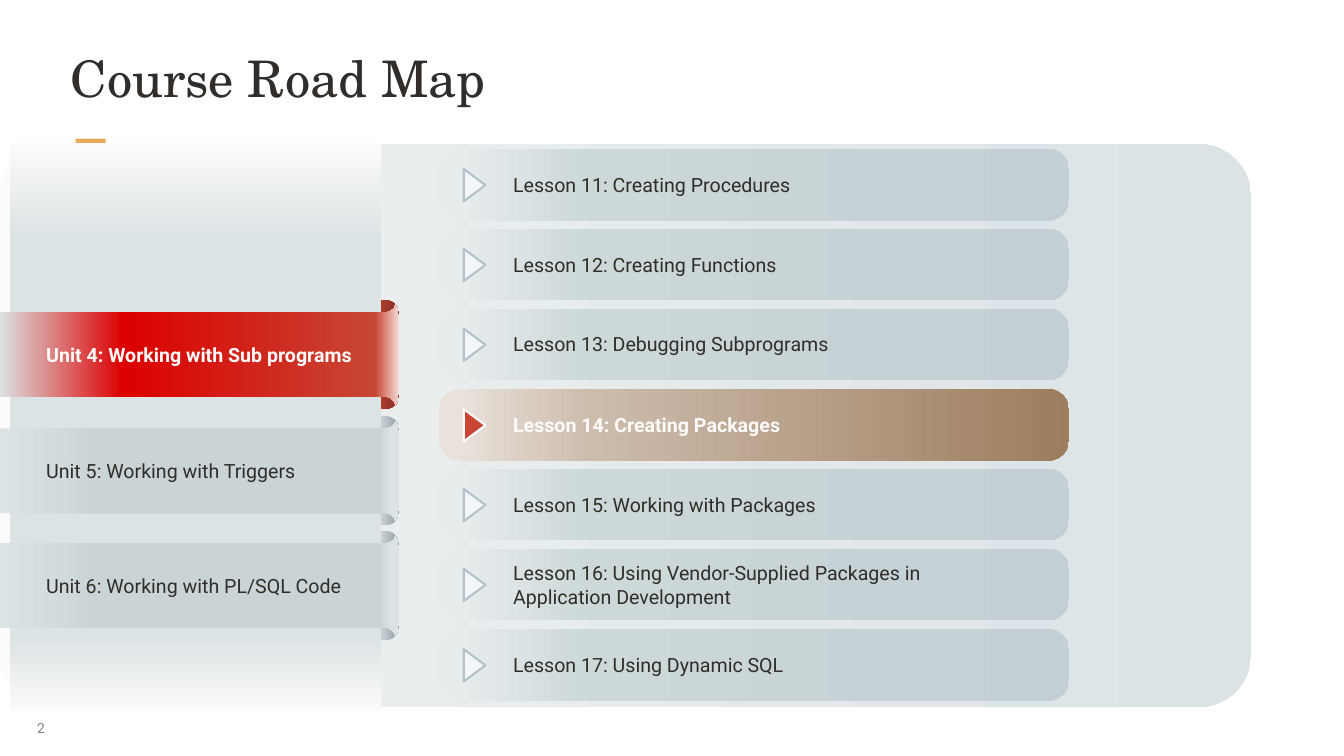
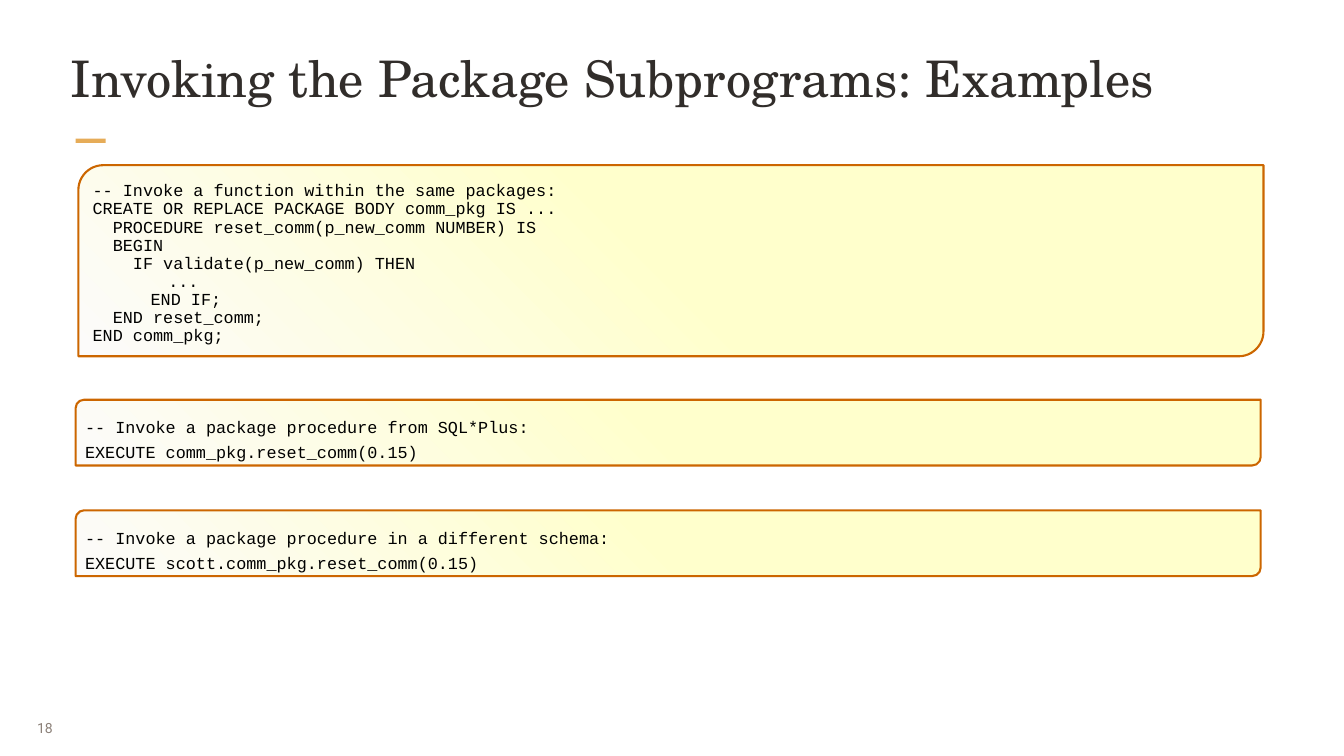
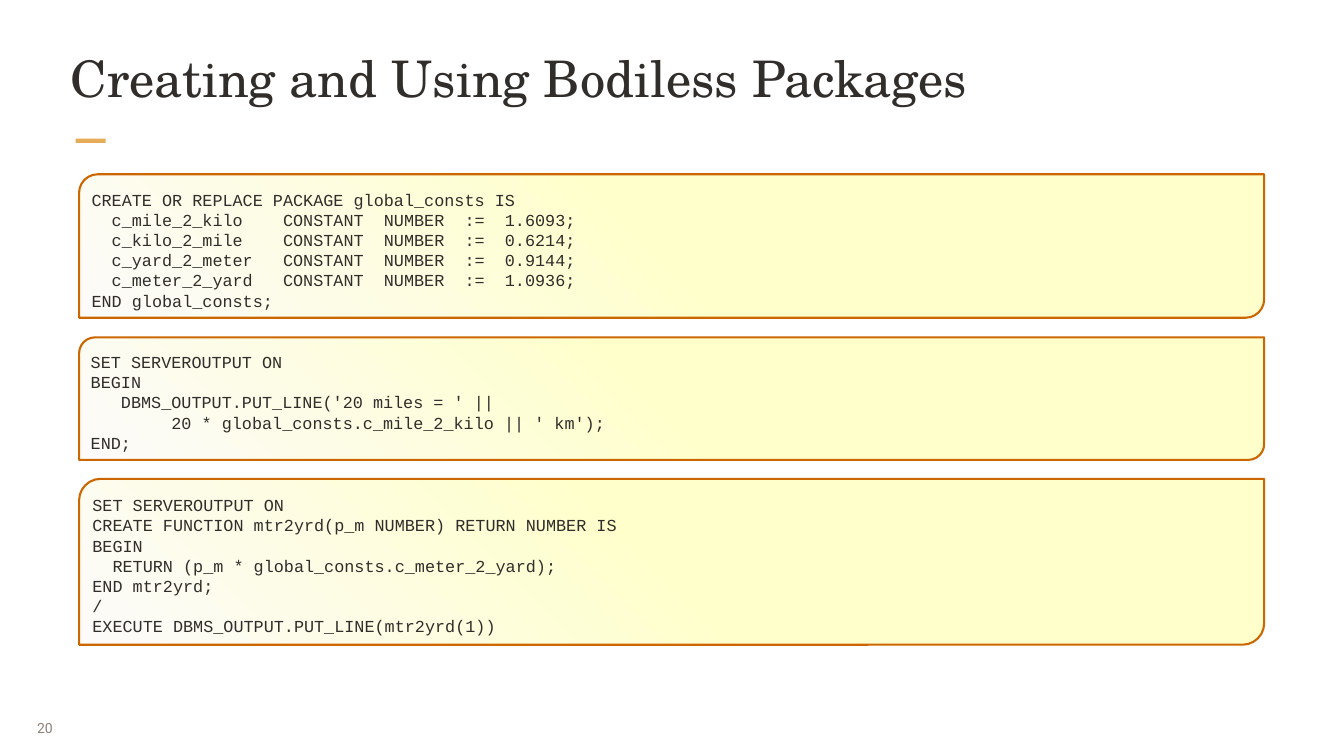
"""Builds three course slides: a road map and two pages of package code."""
from dataclasses import dataclass

from lxml.etree import SubElement
from pptx import Presentation
from pptx.dml.color import RGBColor
from pptx.enum.shapes import MSO_SHAPE as SHAPE
from pptx.enum.text import MSO_ANCHOR as ANCHOR
from pptx.oxml.ns import qn
from pptx.util import Pt

PX = 9525


@dataclass(frozen=True)
class Theme:
    ink: str = "312D2A"
    black: str = "000000"
    paper: str = "FCFBFA"
    muted: str = "8B8078"
    accent: str = "E6AC58"
    red: str = "C74634"
    code_line: str = "CC6600"
    arrow: str = "F3F5F6"
    arrow_line: str = "B4C3C9"
    panel: tuple = ((0, "FCFBFA"), (26, "EAEEEF"), (100, "DCE3E4"))
    band: tuple = ((0, "FCFBFA"), (17, "DCE3E4"), (87, "DCE3E4"), (100, "FCFBFA"))
    fold: tuple = ((77, "DEE4E5"), (99, "96A2A7"))
    fold_on: tuple = ((73, "C74634"), (92, "953427"))
    unit: tuple = ((0, "DCE3E4"), (25, "CAD4D7"), (95, "CAD4D7"), (98, "DCE3E4"))
    unit_on: tuple = ((0, "DCE3E4"), (31, "DC0000"), (94, "C74634"), (100, "F4DAD6"))
    lesson: tuple = ((3, "E7ECED"), (24, "CDD8D9"), (100, "C2CFD4"))
    lesson_on: tuple = ((3, "E9E2DB"), (24, "CDBCAC"), (100, "9D7D5E"))
    code: tuple = ((0, "FFFFCC"), (50, "FFFFCC"), (100, "FCFBFA"))
    title_font: tuple = ("TeX Gyre Schola", 54)
    label_font: tuple = ("Roboto", 21)
    number_font: tuple = ("Roboto", 15)
    code_font: tuple = ("Courier New", 18)


T = Theme()


def draw(s, kind, box, fill, line=None, angle=0, adj=None):
    x, y, w, h = (v * PX for v in box)
    if isinstance(kind, list):
        fb = s.shapes.build_freeform(*kind[0], scale=PX)
        fb.add_line_segments(kind[1:])
        sp = fb.convert_to_shape(x, y)
    else:
        sp = s.shapes.add_shape(kind, x, y, w, h)
    sp.shadow.inherit = False
    if adj is not None:
        sp.adjustments[0] = adj
    if isinstance(fill, str):
        sp.fill.solid()
        sp.fill.fore_color.rgb = RGBColor.from_string(fill)
    else:
        sp.fill.gradient()
        sp.fill.gradient_angle = (360 - angle) % 360
        stops = next(sp._element.iter(qn("a:gsLst")))
        stops.clear()
        for pos, color in fill:
            gs = SubElement(stops, qn("a:gs"), pos=str(pos * 1000))
            SubElement(gs, qn("a:srgbClr"), val=color)
    if line:
        sp.line.color.rgb = RGBColor.from_string(line)
        sp.line.width = Pt(2.25)
    else:
        sp.line.fill.background()
    return sp


def write(sp, text, font, color, bold=False, anchor=ANCHOR.MIDDLE,
          insets=(10, 5, 10, 5), spacing=None, tabs=()):
    tf = sp.text_frame
    tf.word_wrap = True
    tf.vertical_anchor = anchor
    tf.margin_left, tf.margin_top, tf.margin_right, tf.margin_bottom = (v * PX for v in insets)
    for i, words in enumerate(text.split("\n")):
        p = tf.paragraphs[0] if i == 0 else tf.add_paragraph()
        p.add_run().text = words
        p.alignment = 1
        if spacing:
            p.line_spacing = spacing
        if tabs:
            tab_list = SubElement(p._p.get_or_add_pPr(), qn("a:tabLst"))
            for pos in tabs:
                SubElement(tab_list, qn("a:tab"), pos=str(pos * PX), algn="l")
        p.font.name, p.font.size = font[0], Pt(font[1])
        p.font.bold = bold
        p.font.color.rgb = RGBColor.from_string(color)


prs = Presentation()
prs.slide_width, prs.slide_height = 1920 * PX, 1080 * PX

slides = []
for title, number in [
    ("Course Road Map", "2"),
    ("Invoking the Package Subprograms: Examples", "18"),
    ("Creating and Using Bodiless Packages", "20"),
]:
    s = prs.slides.add_slide(prs.slide_layouts[6])
    draw(s, SHAPE.RECTANGLE, (108, 198, 43, 6), T.accent)
    sp = s.shapes.add_textbox(41 * PX, 1012 * PX, 62 * PX, 56 * PX)
    write(sp, number, T.number_font, T.muted, insets=(12, 7, 12, 7))
    sp = s.shapes.add_textbox(98 * PX, 64 * PX, 1724 * PX, 123 * PX)
    write(sp, title, T.title_font, T.ink, anchor=ANCHOR.TOP, insets=(3, 3, 3, 3))
    slides.append(s)
road_map, invoking, bodiless = slides

units = [
    (435, "Unit 4: Working with Sub programs"),
    (601, "Unit 5: Working with Triggers"),
    (765, "Unit 6: Working with PL/SQL Code"),
]
lessons = [
    "Lesson 11: Creating Procedures",
    "Lesson 12: Creating Functions",
    "Lesson 13: Debugging Subprograms",
    "Lesson 14: Creating Packages",
    "Lesson 15: Working with Packages",
    "Lesson 16: Using Vendor-Supplied Packages in Application Development",
    "Lesson 17: Using Dynamic SQL",
]
ribbon = [
    (566, 0), (570, 8), (571, 18), (571, 125), (570, 135), (566, 144),
    (564, 139), (559, 134), (553, 132), (2, 132), (0, 125), (0, 18),
    (2, 11), (553, 11), (559, 9), (564, 5),
]

draw(road_map, SHAPE.ROUNDED_RECTANGLE, (-1, 206, 1788, 804), T.panel, adj=0.093)
for i, (y, _) in enumerate(units):
    draw(road_map, SHAPE.ROUNDED_RECTANGLE, (418, y - 6, 152, 155),
         T.fold if i else T.fold_on, adj=0.126)
draw(road_map, SHAPE.RECTANGLE, (14, 204, 530, 812), T.band, angle=90)
for i, (y, _) in enumerate(units):
    draw(road_map, ribbon, (-1, y, 571, 144), T.unit if i else T.unit_on)
for i, (y, label) in enumerate(units):
    sp = road_map.shapes.add_textbox(56 * PX, (y + 50) * PX, 489 * PX, 43 * PX)
    write(sp, label, T.label_font, T.ink if i else T.paper, bold=i == 0)

for i, label in enumerate(lessons):
    y = 213 + 686 * i // 6
    current = label.startswith("Lesson 14")
    draw(road_map, SHAPE.ROUNDED_RECTANGLE, (627, y, 900, 102),
         T.lesson_on if current else T.lesson, adj=0.289)
    h = 78 if len(label) > 50 else 43
    sp = road_map.shapes.add_textbox(723 * PX, (y + (102 - h) // 2) * PX, 708 * PX, h * PX)
    write(sp, label, T.label_font, T.paper if current else T.ink, bold=current)
    arrow = draw(road_map, SHAPE.ISOSCELES_TRIANGLE, (655, y + 36, 46, 31),
                 T.red if current else T.arrow, T.paper if current else T.arrow_line)
    arrow.rotation = 90

code_boxes = [
    (invoking, (112, 236, 1693, 273), T.black, 0.9, (54, 108),
     """-- Invoke a function within the same packages:
CREATE OR REPLACE PACKAGE BODY comm_pkg IS ...
  PROCEDURE reset_comm(p_new_comm NUMBER) IS
  BEGIN
    IF validate(p_new_comm) THEN
\t\t...
\t  END IF;
  END reset_comm;
END comm_pkg;"""),
    (invoking, (108, 571, 1693, 94), T.black, 1.25, (),
     """-- Invoke a package procedure from SQL*Plus:
EXECUTE comm_pkg.reset_comm(0.15)"""),
    (invoking, (108, 729, 1693, 94), T.black, 1.25, (),
     """-- Invoke a package procedure in a different schema:
EXECUTE scott.comm_pkg.reset_comm(0.15)"""),
    (bodiless, (113, 249, 1693, 205), T.ink, None, (),
     """CREATE OR REPLACE PACKAGE global_consts IS
  c_mile_2_kilo    CONSTANT  NUMBER  :=  1.6093;
  c_kilo_2_mile    CONSTANT  NUMBER  :=  0.6214;
  c_yard_2_meter   CONSTANT  NUMBER  :=  0.9144;
  c_meter_2_yard   CONSTANT  NUMBER  :=  1.0936;
END global_consts;"""),
    (bodiless, (113, 482, 1693, 175), T.ink, None, (),
     """SET SERVEROUTPUT ON
BEGIN
   DBMS_OUTPUT.PUT_LINE('20 miles = ' ||
        20 * global_consts.c_mile_2_kilo || ' km');
END;"""),
    (bodiless, (113, 684, 1693, 237), T.ink, None, (),
     """SET SERVEROUTPUT ON
CREATE FUNCTION mtr2yrd(p_m NUMBER) RETURN NUMBER IS
BEGIN
  RETURN (p_m * global_consts.c_meter_2_yard);
END mtr2yrd;
/
EXECUTE DBMS_OUTPUT.PUT_LINE(mtr2yrd(1))"""),
]
for s, box, color, spacing, tabs, code in code_boxes:
    sp = draw(s, SHAPE.ROUND_2_DIAG_RECTANGLE, box, T.code, T.code_line, angle=135, adj=0.13)
    write(sp, code, T.code_font, color, anchor=ANCHOR.TOP,
          insets=(10, 14, 2, 2), spacing=spacing, tabs=tabs)

prs.save("out.pptx")
